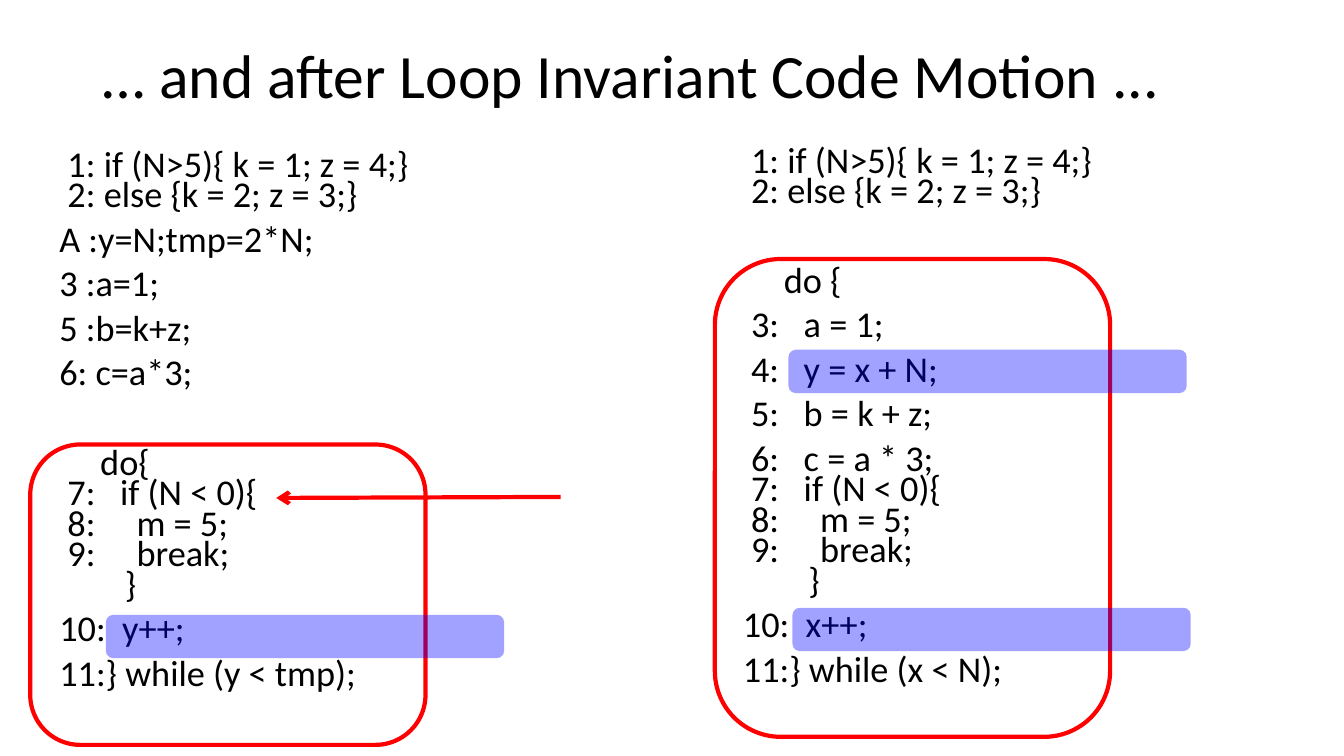
from pptx import Presentation
from pptx.dml.color import RGBColor
from pptx.enum.shapes import MSO_CONNECTOR as Connector, MSO_SHAPE as Shape
from pptx.enum.text import MSO_ANCHOR as Anchor, MSO_AUTO_SIZE as AutoSize, PP_ALIGN as Align
from pptx.oxml.ns import qn
from pptx.util import Inches, Pt
from lxml.etree import SubElement

BEFORE = [
    " 1: if (N>5){ k = 1; z = 4;} \n 2: else {k = 2; z = 3;}",
    "A :y=N;tmp=2*N;",
    "3 :a=1;",
    "5 :b=k+z;",
    "6: c=a*3;",
    "     do{\n 7:   if (N < 0){ \n 8:     m = 5; \n 9:     break;\n        }",
    "10:  y++;",
    "11:} while (y < tmp);",
]
AFTER = [
    " 1: if (N>5){ k = 1; z = 4;} \n 2: else {k = 2; z = 3;}",
    "     do {",
    " 3:   a = 1;",
    " 4:   y = x + N;",
    " 5:   b = k + z;",
    " 6:   c = a * 3;\n 7:   if (N < 0){ \n 8:     m = 5; \n 9:     break;\n        }",
    "10:  x++;",
    "11:} while (x < N);",
]


def color(value):
    return RGBColor.from_string(value)


class CodePage:
    """Draws styled code listings and their markings on one slide."""

    font, ink, accent, marker = "Calibri", "000000", "FF0000", "0000FF"
    code_size, code_gap, loop_gap = 25.9, 10, 42

    def __init__(self, deck):
        self.page = deck.slides.add_slide(deck.slide_layouts[5])

    def format_para(self, para, size, spacing):
        para.alignment = Align.LEFT
        para.line_spacing = spacing
        for span in para.runs:
            span.font.name = self.font
            span.font.size = Pt(size)
            span.font.color.rgb = color(self.ink)

    def title(self, text, left, top, width, height):
        box = self.page.shapes.title
        box.left, box.top = Inches(left), Inches(top)
        box.width, box.height = Inches(width), Inches(height)
        frame = box.text_frame
        frame.text = text
        frame.auto_size = AutoSize.NONE
        frame.vertical_anchor = Anchor.MIDDLE
        self.format_para(frame.paragraphs[0], 44, 0.9)

    def code(self, statements, left, top, width, height):
        box = self.page.shapes.add_textbox(
            Inches(left), Inches(top), Inches(width), Inches(height))
        frame = box.text_frame
        frame.word_wrap = True
        for index, statement in enumerate(statements):
            para = frame.add_paragraph() if index else frame.paragraphs[0]
            para.text = statement
            starts_loop = statement.lstrip().startswith("do")
            para.space_before = Pt(self.loop_gap if starts_loop else self.code_gap)
            self.format_para(para, self.code_size, 0.7)

    def rounded(self, left, top, width, height):
        box = self.page.shapes.add_shape(
            Shape.ROUNDED_RECTANGLE,
            Inches(left), Inches(top), Inches(width), Inches(height))
        box.shadow.inherit = False
        return box

    def loop_frame(self, left, top, height):
        box = self.rounded(left, top, 3.92, height)
        box.fill.background()
        box.line.color.rgb = color(self.accent)
        box.line.width = Pt(3)

    def highlight(self, left, top):
        box = self.rounded(left, top, 3.95, 0.43)
        box.fill.solid()
        box.fill.fore_color.rgb = color(self.marker)
        box.line.fill.background()
        tint = box.fill._xPr.find(".//" + qn("a:srgbClr"))
        SubElement(tint, qn("a:alpha"), val="37000")

    def arrow(self, start, end):
        line = self.page.shapes.add_connector(
            Connector.STRAIGHT, *map(Inches, start + end))
        line.line.color.rgb = color(self.accent)
        line.line.width = Pt(3)
        SubElement(line.line._get_or_add_ln(), qn("a:tailEnd"), type="arrow")
        SubElement(line._element.spPr, qn("a:effectLst"))


def main():
    deck = Presentation()
    deck.slide_width, deck.slide_height = Inches(13.33), Inches(7.5)
    page = CodePage(deck)
    page.title("… and after Loop Invariant Code Motion ...", 0.92, 0.05, 11.5, 1.45)
    page.code(BEFORE, 0.49, 1.47, 11.93, 5.82)
    page.loop_frame(0.3, 4.41, 2.98)
    page.highlight(1.05, 6.1)
    page.code(AFTER, 7.27, 1.43, 4.56, 5.79)
    page.loop_frame(7.09, 2.57, 4.74)
    page.highlight(7.86, 6.03)
    page.highlight(7.82, 3.47)
    page.arrow((5.56, 4.93), (2.74, 4.94))
    deck.save("out.pptx")


if __name__ == "__main__":
    main()
